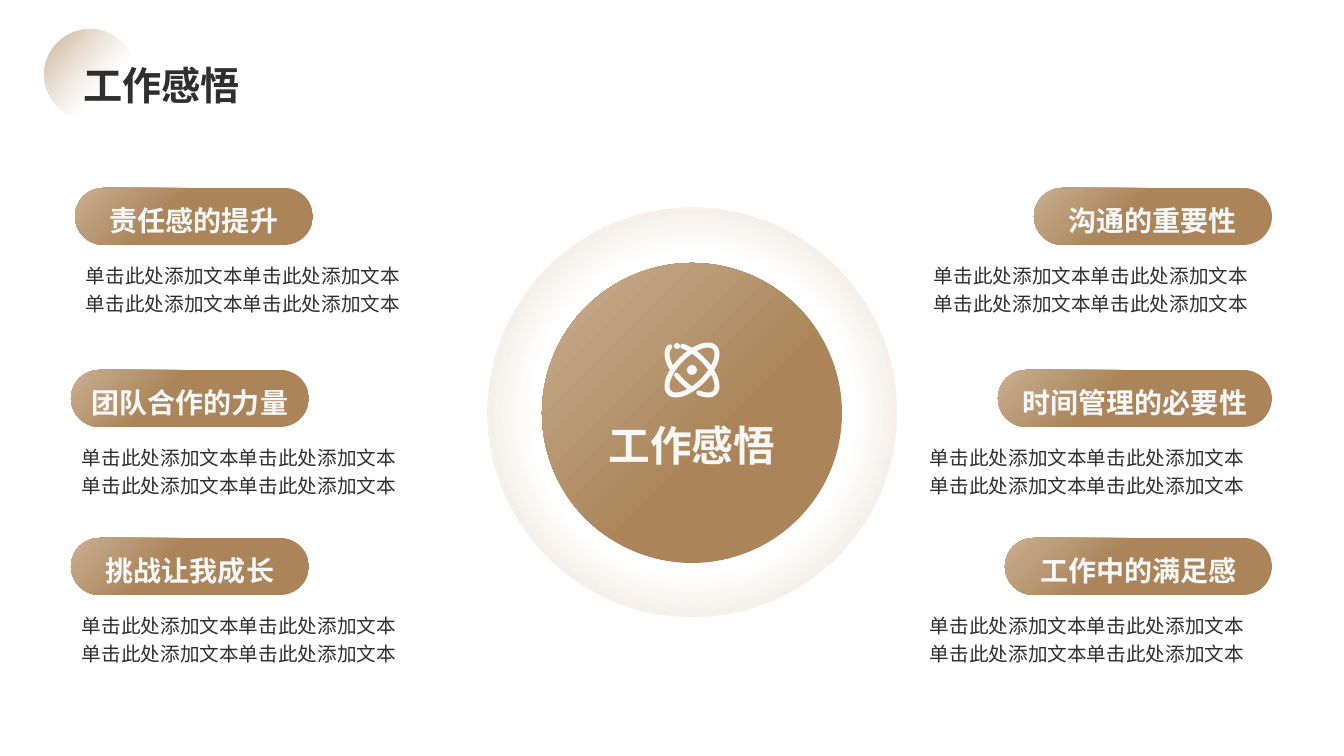
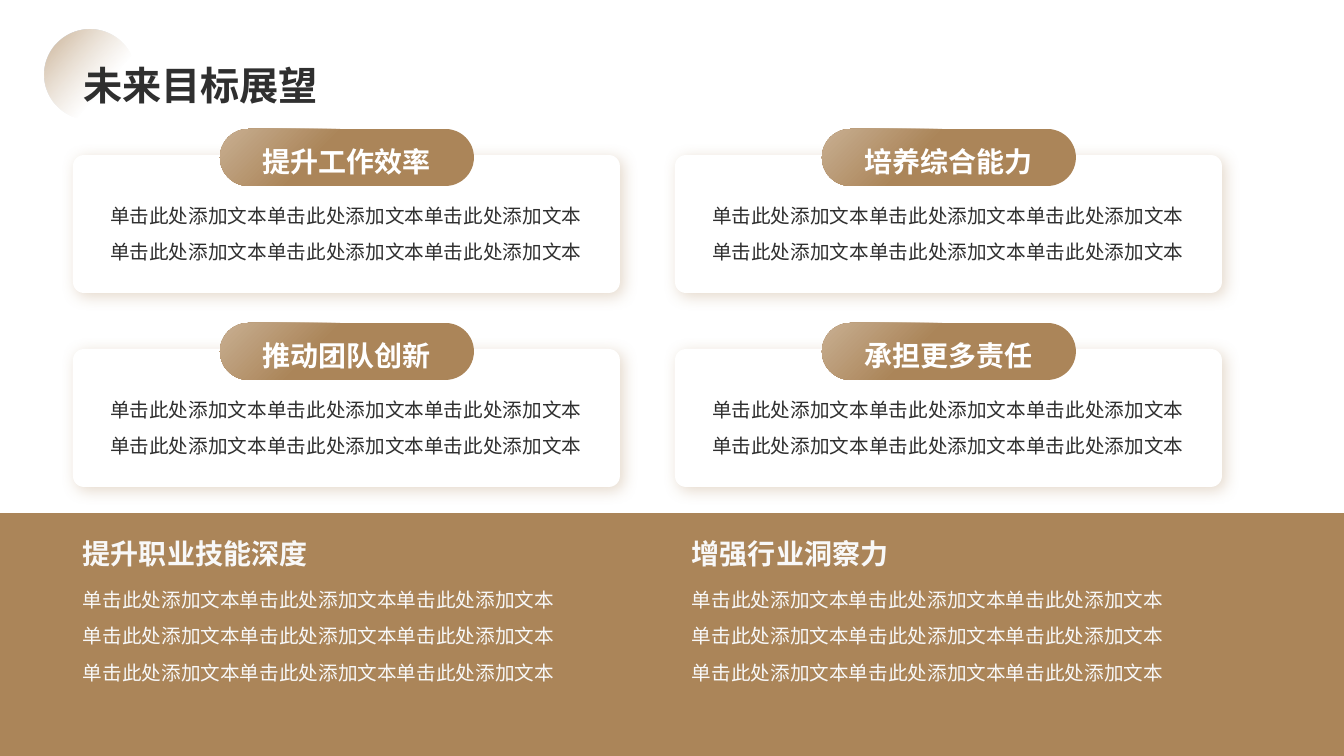
from math import cos, radians, sin, sqrt

from pptx import Presentation
from pptx.dml.color import RGBColor
from pptx.enum.shapes import MSO_SHAPE
from pptx.enum.text import MSO_ANCHOR, MSO_AUTO_SIZE, PP_ALIGN
from pptx.oxml import parse_xml
from pptx.oxml.ns import nsdecls, qn
from pptx.util import Pt

SCALE = 12192000 / 1344
HUES = {"brown": "AB8559", "sand": "C8AF92", "ink": "2F2F2F", "pale": "F8F8F8", "white": "FFFFFF"}
SANS, HAN = "Arial", "Noto Sans CJK SC"
STYLES = {
    "title": {
        "frame": {"vertical_anchor": MSO_ANCHOR.BOTTOM, "auto_size": MSO_AUTO_SIZE.NONE},
        "para": {"alignment": PP_ALIGN.LEFT},
        "font": {"name": SANS, "size": Pt(28), "bold": True},
    },
    "body": {
        "frame": {"vertical_anchor": MSO_ANCHOR.TOP},
        "para": {"alignment": PP_ALIGN.LEFT, "line_spacing": 1.2, "space_after": Pt(6)},
        "font": {"name": SANS, "size": Pt(14)},
    },
    "head": {
        "frame": {"vertical_anchor": MSO_ANCHOR.TOP},
        "para": {"alignment": PP_ALIGN.LEFT},
        "font": {"name": HAN, "size": Pt(20), "bold": True},
    },
    "pill": {
        "frame": {"vertical_anchor": MSO_ANCHOR.MIDDLE},
        "para": {"alignment": PP_ALIGN.CENTER, "line_spacing": 1.2},
        "font": {"name": HAN, "size": Pt(20), "bold": True},
    },
    "hub": {
        "frame": {"vertical_anchor": MSO_ANCHOR.MIDDLE},
        "para": {"alignment": PP_ALIGN.CENTER, "line_spacing": 1.2},
        "font": {"name": HAN, "size": Pt(29.8), "bold": True},
    },
}
STYLES["card"] = STYLES["body"] | {"para": STYLES["body"]["para"] | {"alignment": PP_ALIGN.CENTER}}
FILLER = "单击此处添加文本"


def px(num):
    return round(num * SCALE)


def rgb(hue):
    return RGBColor.from_string(HUES[hue])


def apply(target, values):
    for name, value in values.items():
        setattr(target, name, value)


class Deck:
    """Holds the style and the current slide, and draws each kind of element."""

    def __init__(self):
        self.prs = Presentation()
        apply(self.prs, {"slide_width": px(1344), "slide_height": px(756)})
        self.layout = self.prs.slide_layouts[5]
        self.slide = None

    def page(self, title):
        self.slide = self.prs.slides.add_slide(self.layout)
        head = self.slide.shapes.title
        box = {"left": px(73), "top": px(14), "width": px(1197), "height": px(99)}
        apply(head, box)
        self.fill(head.text_frame, [title], "title", "ink")

    def disc(self):
        disc = self.shape(MSO_SHAPE.OVAL, (45, 30, 90, 90))
        disc.rotation = 355.9
        self.blend(disc, [(0, "brown", 70), (64, "sand", 0)], '<a:lin ang="2700000" scaled="0"/>')
        self.layout.shapes.element.append(disc.element)

    def fill(self, frame, lines, style, hue):
        look = STYLES[style]
        frame.word_wrap = True
        apply(frame, look["frame"])
        for index, line in enumerate(lines):
            para = frame.paragraphs[0] if index == 0 else frame.add_paragraph()
            apply(para, look["para"])
            run = para.add_run()
            run.text = line
            apply(run.font, look["font"])
            run.font.color.rgb = rgb(hue)

    def text(self, box, lines, style, hue):
        area = self.slide.shapes.add_textbox(*map(px, box))
        self.fill(area.text_frame, lines, style, hue)

    def shape(self, kind, box, hue="white", round_=None):
        item = self.slide.shapes.add_shape(kind, *map(px, box))
        item.shadow.inherit = False
        item.fill.solid()
        item.fill.fore_color.rgb = rgb(hue)
        item.line.fill.background()
        if round_ is not None:
            item.adjustments[0] = round_
        return item

    def blend(self, item, stops, course):
        parts = "".join(
            f'<a:gs pos="{pos * 1000}"><a:srgbClr val="{HUES[hue]}">'
            f'<a:alpha val="{alpha * 1000}"/></a:srgbClr></a:gs>'
            for pos, hue, alpha in stops
        )
        grad = parse_xml(
            f'<a:gradFill {nsdecls("a")} rotWithShape="1"><a:gsLst>{parts}</a:gsLst>{course}</a:gradFill>'
        )
        old = item.element.spPr.find(qn("a:solidFill"))
        item.element.spPr.replace(old, grad)

    def glow(self, item, stops, rect):
        sides = " ".join(f'{side}="{num * 1000}"' for side, num in zip("ltrb", rect))
        self.blend(item, stops, f'<a:path path="circle"><a:fillToRect {sides}/></a:path>')

    def shade(self, item, end):
        self.glow(item, [(0, "sand", 100), (end, "brown", 100)], (0, 0, 100, 100))

    def pill(self, box, label, hue):
        pill = self.shape(MSO_SHAPE.ROUNDED_RECTANGLE, box, round_=0.5)
        self.shade(pill, 40)
        self.fill(pill.text_frame, [label], "pill", hue)

    def card(self, left, top, label):
        card = self.shape(MSO_SHAPE.ROUNDED_RECTANGLE, (left, top, 547, 138), round_=0.08)
        card.element.spPr.find(qn("a:effectLst")).append(parse_xml(
            f'<a:outerShdw {nsdecls("a")} blurRad="{Pt(11)}" dist="{Pt(3)}" dir="2700000" algn="tl" '
            f'rotWithShape="0"><a:srgbClr val="{HUES["brown"]}"><a:alpha val="30000"/></a:srgbClr></a:outerShdw>'
        ))
        self.pill((left + 147, top - 26, 254, 57), label, "white")
        self.text((left + 17, top + 39, 512, 74), [FILLER * 3] * 2, "card", "ink")

    def dot(self, x, y, size):
        self.shape(MSO_SHAPE.OVAL, (x - size // 2, y - size // 2, size, size), "pale")

    def orbit(self, x, y, tilt, arcs):
        def point(angle):
            along = 32 * cos(radians(angle)) / sqrt(2)
            cross = 15 * sin(radians(angle)) / sqrt(2)
            return px(x + tilt * (along + cross)), px(y + along - cross)

        pen = self.slide.shapes.build_freeform(*point(arcs[0][0]))
        for index, (start, end) in enumerate(arcs):
            if index:
                pen.move_to(*point(start))
            count = (end - start) // 4
            step = (end - start) / count
            pen.add_line_segments([point(start + step * n) for n in range(1, count + 1)], close=False)
        ring = pen.convert_to_shape()
        ring.shadow.inherit = False
        ring.fill.background()
        ring.line.color.rgb = rgb("pale")
        ring.line.width = px(5)
        ring.element.spPr.find(qn("a:ln")).set("cap", "rnd")

    def atom(self, x, y):
        self.orbit(x, y, -1, [(0, 360)])
        self.orbit(x, y, 1, [(-49, 137), (177, 240), (257, 295)])
        self.dot(x, y, 10)
        self.dot(x - 15, y - 24, 6)

    def hub(self, label):
        halo = self.shape(MSO_SHAPE.OVAL, (488, 208, 409, 409))
        self.glow(halo, [(56, "sand", 0), (100, "brown", 50)], (50, 50, 50, 50))
        core = self.shape(MSO_SHAPE.OVAL, (542, 263, 300, 300))
        self.shade(core, 59)
        frame = core.text_frame
        apply(frame, {"margin_top": px(60), "margin_bottom": px(6)})
        self.fill(frame, [label], "hub", "pale")
        self.atom(692, 370)

    def topic(self, pill, left, width, label):
        self.pill(pill, label, "pale")
        self.text((left, pill[1] + 66, width, 64), [FILLER * 4], "body", "ink")

    def column(self, left, label):
        self.text((left, 532, 328, 44), [label], "head", "pale")
        self.text((left, 578, 512, 110), [FILLER * 3] * 3, "body", "pale")


def insights(deck):
    deck.page("工作感悟")
    deck.disc()
    deck.hub("工作感悟")
    rows = [
        (188, 75, "责任感的提升", 238, "沟通的重要性"),
        (370, 71, "团队合作的力量", 274, "时间管理的必要性"),
        (538, 71, "挑战让我成长", 267, "工作中的满足感"),
    ]
    for top, left, first, wide, second in rows:
        width = 424 - left
        deck.topic((left, top, 238, 57), left + 1, width, first)
        deck.topic((1272 - wide, top, wide, 57), 1273 - width, width, second)


def goals(deck):
    deck.page("未来目标展望")
    deck.shape(MSO_SHAPE.RECTANGLE, (0, 513, 1344, 243), "brown")
    labels = ["提升工作效率", "培养综合能力", "推动团队创新", "承担更多责任"]
    for index, label in enumerate(labels):
        row, col = divmod(index, 2)
        deck.card(73 + 602 * col, 155 + 194 * row, label)
    deck.column(73, "提升职业技能深度")
    deck.column(682, "增强行业洞察力")


def main():
    deck = Deck()
    insights(deck)
    goals(deck)
    deck.prs.save("out.pptx")


if __name__ == "__main__":
    main()
